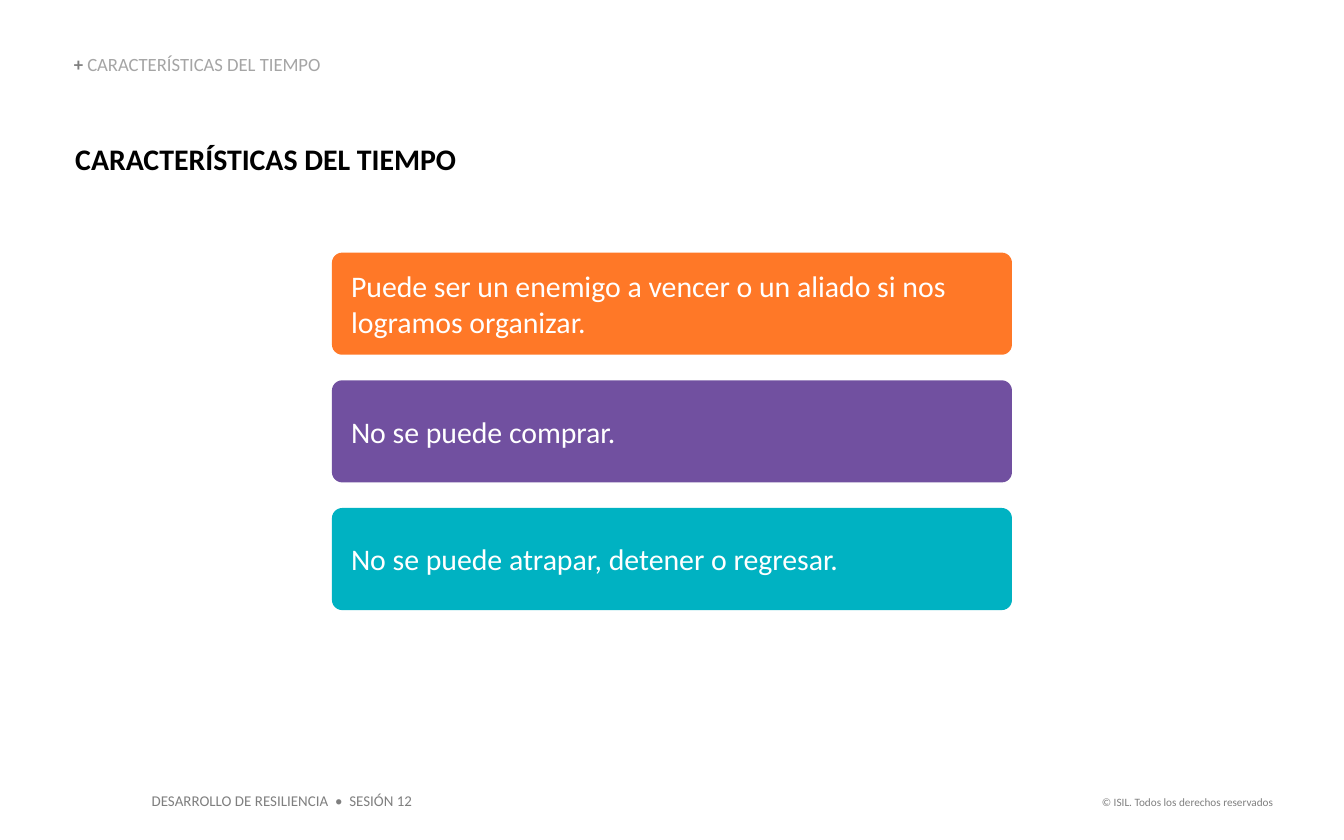
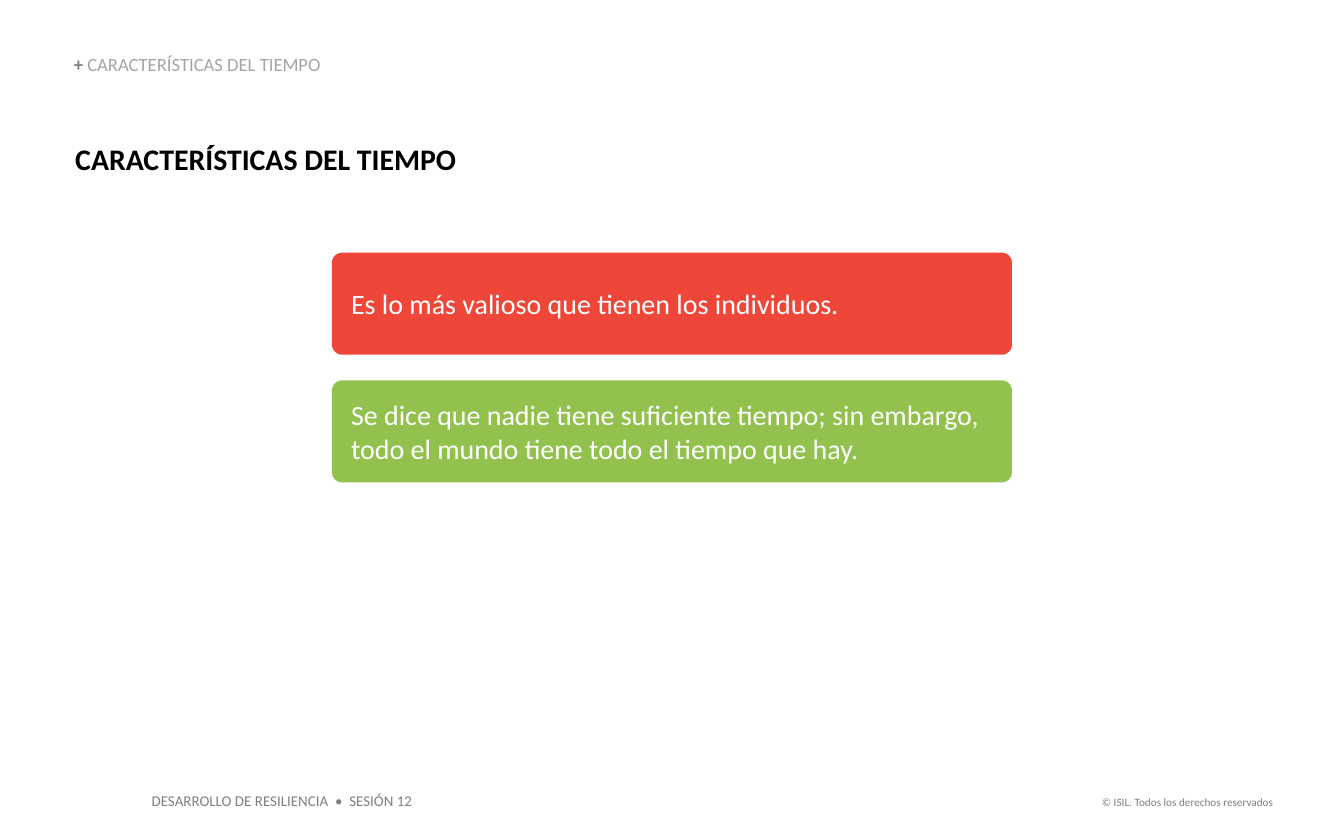
import pptx
import pptx.dml.color
import pptx.enum.shapes
import pptx.enum.text
import pptx.util

PX = 9144  # EMU per px, at 100 px to the inch
FONT = "Calibri"
WHITE, BLACK, GREY, LIGHT_GREY = "FFFFFF", "000000", "7F7F7F", "A5A5A5"
TITLE = "CARACTERÍSTICAS DEL TIEMPO"
CARD_LEFT, CARD_TOP, CARD_WIDTH, CARD_HEIGHT, CARD_STEP = 247, 188, 506, 76, 95
NO_INSETS, FOOTER_INSETS, CARD_INSETS = (0, 0, 0, 0), (10, 5, 10, 5), (12, 5, 10, 5)

ALIGN = pptx.enum.text.PP_ALIGN
ANCHOR = pptx.enum.text.MSO_ANCHOR
FIT = pptx.enum.text.MSO_AUTO_SIZE

# Text size and (card colour, card text) pairs of each page
PAGES = [
    (16, [
        ("FF7827", "Puede ser un enemigo a vencer o un aliado si nos logramos organizar."),
        ("7150A0", "No se puede comprar."),
        ("00B2C2", "No se puede atrapar, detener o regresar."),
    ]),
    (15, [
        ("EE4639", "Es lo más valioso que tienen los individuos."),
        ("92C14D", "Se dice que nadie tiene suficiente tiempo; sin embargo, "
                   "todo el mundo tiene todo el tiempo que hay."),
    ]),
]

# Text, position, text size and alignment of each footer
FOOTERS = [
    ("DESARROLLO DE RESILIENCIA  •  SESIÓN 12", (103, 584, 214, 24), 8, ALIGN.LEFT),
    ("© ISIL. Todos los derechos reservados", (807, 587, 150, 20), 6, ALIGN.RIGHT),
]


def color(hex_string):
    return pptx.dml.color.RGBColor.from_string(hex_string)


def write(box, spans, size, insets, anchor=ANCHOR.TOP, align=ALIGN.LEFT, fit=FIT.SHAPE_TO_FIT_TEXT):
    """Fill a box with one paragraph of (text, colour, bold) spans and return it."""
    frame = box.text_frame
    frame.word_wrap = True
    frame.auto_size = fit
    frame.vertical_anchor = anchor
    frame.margin_left, frame.margin_top, frame.margin_right, frame.margin_bottom = (
        inset * PX for inset in insets)
    para = frame.paragraphs[0]
    para.alignment = align
    for text, hex_string, bold in spans:
        span = para.add_run()
        span.text = text
        span.font.name = FONT
        span.font.size = pptx.util.Pt(size)
        span.font.bold = bold
        span.font.color.rgb = color(hex_string)
    return para


deck = pptx.Presentation()
deck.slide_width, deck.slide_height = 1000 * PX, 625 * PX
title_only = deck.slide_layouts[5]

for card_size, cards in PAGES:
    page = deck.slides.add_slide(title_only)
    page.background.fill.solid()
    page.background.fill.fore_color.rgb = color(WHITE)

    title = page.shapes.title
    title.left, title.top, title.width, title.height = (n * PX for n in (56, 105, 444, 27))
    write(title, [(TITLE, BLACK, True)], 16, NO_INSETS)

    for text, place, size, align in FOOTERS:
        footer = page.shapes.add_textbox(*(n * PX for n in place))
        write(footer, [(text, GREY, False)], size, FOOTER_INSETS, align=align)

    for row, (fill, text) in enumerate(cards):
        card = page.shapes.add_shape(
            pptx.enum.shapes.MSO_SHAPE.ROUNDED_RECTANGLE,
            CARD_LEFT * PX, (CARD_TOP + row * CARD_STEP) * PX, CARD_WIDTH * PX, CARD_HEIGHT * PX)
        card.adjustments[0] = 0.1
        card.shadow.inherit = False
        card.fill.solid()
        card.fill.fore_color.rgb = color(fill)
        card.line.fill.background()
        write(card, [(text, WHITE, False)], card_size, CARD_INSETS, ANCHOR.MIDDLE, fit=FIT.NONE)

    breadcrumb = page.shapes.add_textbox(*(n * PX for n in (55, 41, 266, 15)))
    para = write(breadcrumb, [("+ ", GREY, True), (TITLE, LIGHT_GREY, False)],
                 10, NO_INSETS, ANCHOR.BOTTOM)
    para.line_spacing = 0.9

deck.save("out.pptx")
